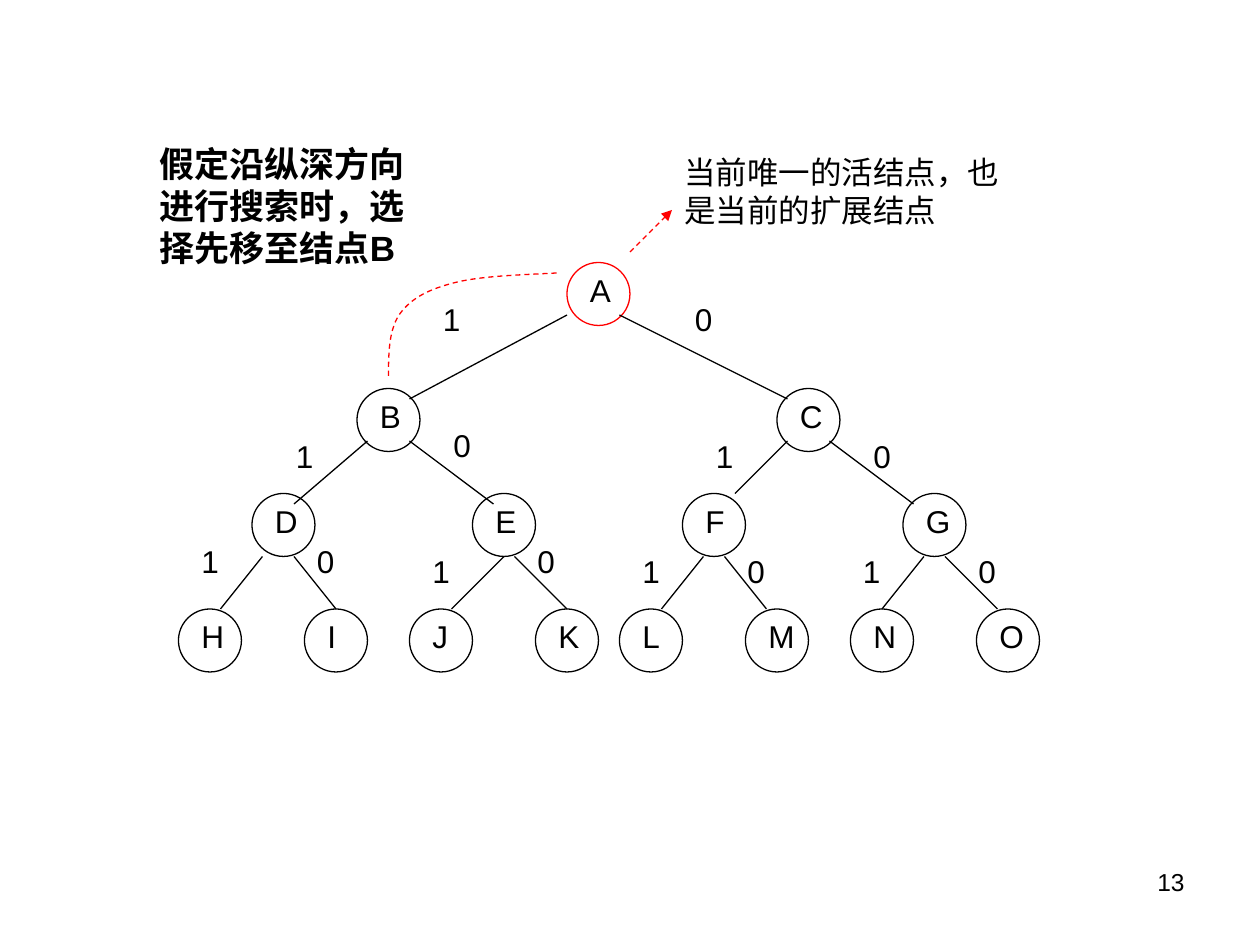
from dataclasses import dataclass

from lxml import etree
from pptx import Presentation, util as u
from pptx.dml.color import RGBColor
from pptx.enum import dml, shapes, text
from pptx.oxml.ns import qn


@dataclass(frozen=True)
class Theme:
    font: str = "Arial"
    ink: RGBColor = RGBColor(0, 0, 0)
    active: RGBColor = RGBColor(255, 0, 0)
    stroke: float = 0.75
    page_size: int = 14
    label_size: int = 18
    heading_size: int = 20


theme = Theme()
deck = Presentation()
deck.slide_width, deck.slide_height = u.Inches(10), u.Inches(7.5)
slide = deck.slides.add_slide(deck.slide_layouts[6])

# The slide is a grid of 120 columns by 90 rows of square cells.
CELL = deck.slide_width // 120
NODE = 6
LABEL = (5, 4.8)


def write(words, column, row, columns, rows, size=theme.label_size, before=11.2):
    """Add a wrapped text box placed in grid cells and return it."""
    box = slide.shapes.add_textbox(*(round(n * CELL) for n in (column, row, columns, rows)))
    frame = box.text_frame
    frame.word_wrap = True
    frame.auto_size = text.MSO_AUTO_SIZE.SHAPE_TO_FIT_TEXT
    para = frame.paragraphs[0]
    para.text = words
    para.space_before = u.Pt(before)
    para.font.name, para.font.size = theme.font, u.Pt(size)
    para.font.color.rgb = theme.ink
    return box


def connect(start, end, color=theme.ink):
    """Add a straight line between two grid points and return it."""
    line = slide.shapes.add_connector(
        shapes.MSO_CONNECTOR.STRAIGHT, *(n * CELL for n in start + end))
    line.line.color.rgb, line.line.width = color, u.Pt(theme.stroke)
    etree.SubElement(line._element.spPr, qn("a:effectLst"))
    return line


page = write("13", 86, 82, 28, 6.25, theme.page_size, 0)
page.text_frame.auto_size = text.MSO_AUTO_SIZE.NONE
page.text_frame.paragraphs[0].alignment = text.PP_ALIGN.RIGHT

# Each level of the tree: its row, its nodes and their columns
levels = [
    (25, "A", [54]),
    (37, "BC", [34, 74]),
    (47, "DEFG", [24, 45, 65, 86]),
    (58, "HIJKLMNO", [17, 29, 39, 51, 59, 71, 81, 93]),
]
for row, names, columns in levels:
    for name, column in zip(names, columns):
        node = slide.shapes.add_shape(
            shapes.MSO_SHAPE.OVAL, column * CELL, row * CELL, NODE * CELL, NODE * CELL)
        node.shadow.inherit = False
        node.fill.background()
        node.line.color.rgb = theme.active if name == "A" else theme.ink
        node.line.width = u.Pt(theme.stroke)
        write(name, column + 1, row + 0.2, *LABEL)

# Branches in pairs, left (1) then right (0): start, end, label corner
branches = [
    ((54, 30), (39, 38), (41, 28)), ((59, 30), (75, 38), (65, 28)),  # A
    ((35, 42), (28, 48), (27, 41)), ((39, 42), (47, 48), (42, 40)),  # B
    ((75, 42), (70, 47), (67, 41)), ((79, 42), (87, 48), (82, 41)),  # C
    ((25, 53), (21, 58), (18, 51)), ((28, 53), (32, 58), (29, 51)),  # D
    ((48, 53), (43, 58), (40, 52)), ((49, 53), (54, 58), (50, 51)),  # E
    ((67, 53), (63, 58), (60, 52)), ((69, 53), (73, 58), (70, 52)),  # F
    ((88, 53), (84, 58), (81, 52)), ((90, 53), (95, 58), (92, 52)),  # G
]
for index, (start, end, corner) in enumerate(branches):
    connect(start, end)
    write("10"[index % 2], *corner, *LABEL)

# Note on the current node
pointer = connect((60, 24), (64, 20), theme.active)
pointer.line.dash_style = dml.MSO_LINE.DASH
etree.SubElement(pointer.line._get_or_add_ln(), qn("a:tailEnd"), type="triangle")
write("当前唯一的活结点，也是当前的扩展结点", 64, 14, 35, 8.4)

# Note on the next move, with a curve from A to B
heading = write("假定沿纵深方向进行搜索时，选择先移至结点B", 14, 13, 28, 13.2,
                theme.heading_size, 12.5)
heading.text_frame.paragraphs[0].font.bold = True

curve_points = [
    (53, 26),
    (49.2, 26.2), (45.5, 26.3), (43, 27),
    (40.4, 27.7), (39, 28.6), (38, 30),
    (37, 31.6), (37, 33.7), (37, 36),
]
(first, *rest) = [(round(x * CELL), round(y * CELL)) for x, y in curve_points]
builder = slide.shapes.build_freeform(*first)
builder.add_line_segments(rest, close=False)
curve = builder.convert_to_shape()
curve.shadow.inherit = False
curve.fill.background()
curve.line.color.rgb, curve.line.width = theme.active, u.Pt(theme.stroke)
curve.line.dash_style = dml.MSO_LINE.DASH

# Every three straight segments become one Bézier segment.
segments = list(curve._element.iter(qn("a:lnTo")))
for i in range(0, len(segments), 3):
    bezier = etree.SubElement(segments[i].getparent(), qn("a:cubicBezTo"))
    for segment in segments[i:i + 3]:
        bezier.append(segment[0])
        segment.getparent().remove(segment)

deck.save("out.pptx")
